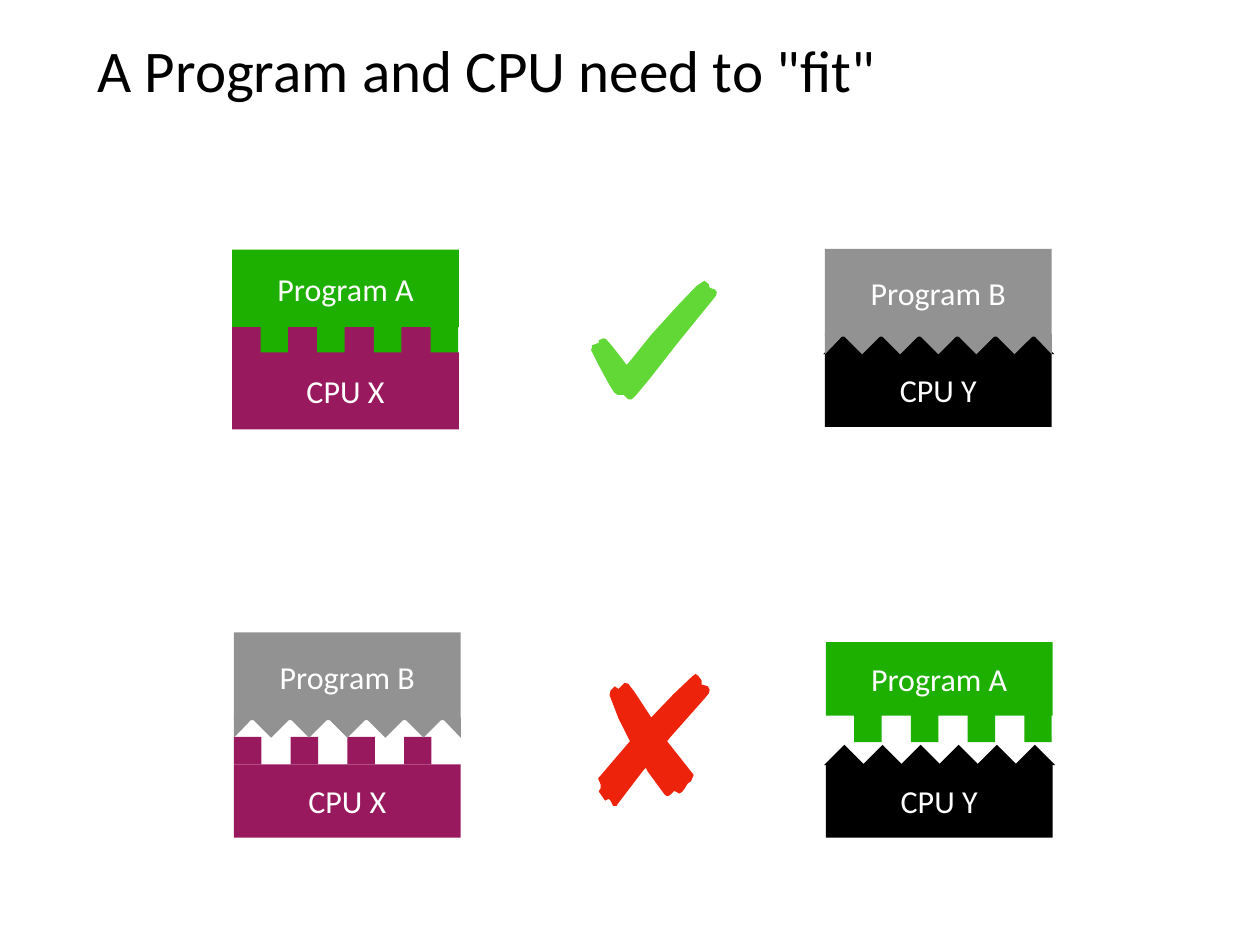
from pptx import Presentation
from pptx import util as u
from pptx.dml.color import RGBColor
from pptx.enum import shapes, text

PX = 9144  # 100 px to the inch
GREEN, PURPLE, GREY, BLACK = "1EB001", "99195E", "929292", "000000"
BLOCK_W, NOTCH, NOTCH_STEP = 256, 31, 64
TOOTH_HALF, TOOTH_H, TOOTH_STEP = 23, 23, 43

prs = Presentation()
prs.slide_width, prs.slide_height = 1422 * PX, 1067 * PX
s = prs.slides.add_slide(prs.slide_layouts[6])


def paint(sp, color):
    """Give the shape a plain fill without outline or shadow."""
    sp.shadow.inherit = False
    sp.fill.solid()
    sp.fill.fore_color.rgb = RGBColor.from_string(color)
    sp.line.fill.background()


def add_outline(points, color):
    """Draw a closed polygon through points given in px."""
    builder = s.shapes.build_freeform(*points[0], scale=PX)
    builder.add_line_segments(points[1:], close=True)
    paint(builder.convert_to_shape(), color)


# Title
tf = s.shapes.add_textbox(104 * PX, 28 * PX, 1214 * PX, 99 * PX).text_frame
tf.word_wrap = True
tf.vertical_anchor = text.MSO_ANCHOR.MIDDLE
tf.margin_left = tf.margin_right = 6 * PX
p = tf.paragraphs[0]
p.text = 'A Program and CPU need to "fit"'
for name, value in {"name": "Calibri", "size": u.Pt(48)}.items():
    setattr(p.font, name, value)
p.font.color.rgb = RGBColor.from_string(BLACK)

# Pointed teeth of CPU Y: left edge of the block, base line
for left, base in [(931, 400), (932, 864)]:
    for i in range(6):
        tip = left + 21 + i * TOOTH_STEP
        add_outline([(tip - TOOTH_HALF, base), (tip, base - TOOTH_H), (tip + TOOTH_HALF, base)], BLACK)

# Blocks and square teeth: left, top, width, height, colour, label
blocks = [(262, 369, 235, NOTCH, PURPLE, "")]
for left, top, color in [(294, 369, GREEN), (264, 832, PURPLE), (964, 807, GREEN)]:
    blocks += [(left + i * NOTCH_STEP, top, NOTCH, NOTCH, color, "") for i in range(4)]
blocks += [
    (262, 282, BLOCK_W, 87, GREEN, "Program A"),
    (262, 398, BLOCK_W, 87, PURPLE, "CPU X"),
    (931, 399, BLOCK_W, 83, BLACK, "CPU Y"),
    (931, 281, BLOCK_W, 99, GREY, "Program B"),
    (264, 863, BLOCK_W, 83, PURPLE, "CPU X"),
    (264, 714, BLOCK_W, 99, GREY, "Program B"),
    (932, 863, BLOCK_W, 83, BLACK, "CPU Y"),
    (932, 725, BLOCK_W, 83, GREEN, "Program A"),
]
for left, top, width, height, color, label in blocks:
    sp = s.shapes.add_shape(shapes.MSO_SHAPE.RECTANGLE, left * PX, top * PX, width * PX, height * PX)
    paint(sp, color)
    if label:
        sp.text_frame.vertical_anchor = text.MSO_ANCHOR.MIDDLE
        p = sp.text_frame.paragraphs[0]
        p.text = label
        p.alignment = text.PP_ALIGN.CENTER
        for name, value in {"name": "Calibri", "size": u.Pt(26)}.items():
            setattr(p.font, name, value)
        p.font.color.rgb = RGBColor.from_string("FFFFFF")

# Pointed teeth of Program B, cut off at the sides of the block
for left, base in [(931, 377), (264, 810)]:
    for i in range(7):
        tip = left - 1 + i * TOOTH_STEP
        corners = [(tip - TOOTH_HALF, base), (tip, base + TOOTH_H), (tip + TOOTH_HALF, base)]
        add_outline([(min(max(x, left), left + BLOCK_W), y) for x, y in corners], GREY)

check_mark = [
    (795, 317), (786, 323), (764, 346), (735, 378), (710, 409), (707, 412), (705, 409),
    (691, 391), (684, 383), (681, 382), (676, 384), (676, 387), (668, 390), (668, 393),
    (667, 395), (677, 415), (688, 435), (693, 443), (697, 446), (704, 446), (709, 451),
    (713, 451), (718, 446), (733, 428), (765, 387), (804, 339), (808, 334), (809, 330),
    (807, 327), (804, 326), (801, 325), (800, 322), (800, 321),
]
cross_mark = [
    (785, 761), (781, 764), (760, 784), (738, 807), (735, 810), (733, 807), (716, 781),
    (709, 772), (705, 771), (702, 774), (698, 778), (694, 775), (689, 780), (688, 785),
    (698, 811), (710, 835), (711, 837), (675, 879), (678, 886), (678, 890), (676, 893),
    (676, 894), (683, 904), (687, 902), (689, 904), (692, 910), (696, 910), (697, 908),
    (726, 870), (729, 867), (731, 871), (750, 897), (753, 899), (756, 898), (761, 893),
    (767, 896), (770, 894), (773, 890), (776, 885), (780, 882), (783, 875), (753, 837),
    (756, 833), (795, 789), (800, 783), (801, 779), (799, 775), (796, 774), (792, 773),
    (792, 769), (791, 767), (788, 763),
]
add_outline(check_mark, "61D836")
add_outline(cross_mark, "EE230C")

prs.save("out.pptx")
